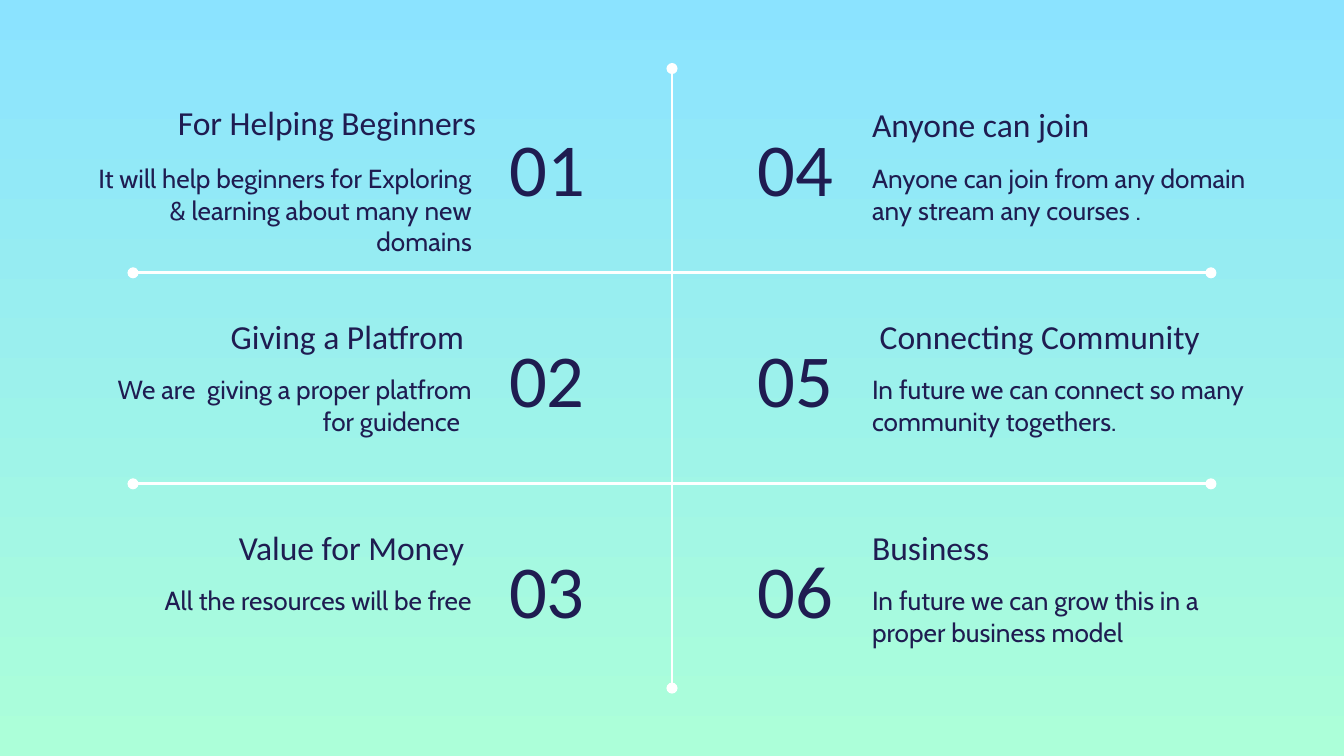
from lxml import etree
from pptx import Presentation
from pptx.dml.color import RGBColor
from pptx.enum import shapes, text
from pptx.oxml.ns import qn
from pptx.util import Inches, Pt

NAVY = RGBColor(0x1F, 0x1C, 0x51)
WHITE = RGBColor(0xFF, 0xFF, 0xFF)
SKY = RGBColor(0x8B, 0xE3, 0xFF)
MINT = RGBColor(0xAC, 0xFF, 0xD9)

LEFT, RIGHT = text.PP_ALIGN.LEFT, text.PP_ALIGN.RIGHT
TOP, MIDDLE, BOTTOM = text.MSO_ANCHOR.TOP, text.MSO_ANCHOR.MIDDLE, text.MSO_ANCHOR.BOTTOM

FIRST_ROW, ROW_STEP = 0.46, 1.57
CELL_WIDTH = 4.37
LEFT_CELL, RIGHT_CELL = 0.63, 5.0

# Heading, body, body height, heading nudge (extra width, rise)
LEFT_ITEMS = [
    ("For Helping Beginners ",
     "It will help beginners for Exploring & learning about many new domains", 0.86, (0.09, 0.02)),
    ("Giving a Platfrom ", "We are  giving a proper platfrom for guidence  ", 0.69, (0, 0)),
    ("Value for Money ", "All the resources will be free", 0.69, (0, 0)),
]
RIGHT_ITEMS = [
    ("Anyone can join",
     "Anyone can join from any domain any stream any courses .", 0.86, (0, 0.01)),
    (" Connecting Community",
     "In future we can connect so many community togethers.", 0.69, (0, 0)),
    ("Business", "In future we can grow this in a proper business model", 0.69, (0, 0)),
]


def write(box, frame, words, size, font, align, anchor):
    """Place a text box in frame (left, top, width, height) and format its words."""
    box.left, box.top, box.width, box.height = (Inches(value) for value in frame)
    body = box.text_frame
    body.text = words
    body.word_wrap = True
    body.auto_size = text.MSO_AUTO_SIZE.NONE
    body.vertical_anchor = anchor
    body.margin_left = body.margin_right = body.margin_top = body.margin_bottom = Inches(0.1)
    para = body.paragraphs[0]
    para.alignment = align
    span = para.runs[0].font
    span.size, span.name, span.color.rgb = Pt(size), font, NAVY


def add_box(page):
    return page.shapes.add_textbox(0, 0, 0, 0)


def add_item(page, left, top, number, item, on_left):
    """Fill one grid cell; cells on the left mirror those on the right."""
    heading, words, body_height, (extra, rise) = item
    if on_left:
        text_left, number_left = left, left + CELL_WIDTH - 1.31
        text_align, number_align = RIGHT, LEFT
    else:
        text_left, number_left = left + 1.39, left
        text_align, number_align = LEFT, RIGHT

    # The first number is the slide title
    number_box = page.shapes.title if number == 1 else add_box(page)
    write(number_box, (number_left, top + 0.35, 1.3, 0.86),
          f"{number:02d}", 40, "Calibri", number_align, MIDDLE)
    write(add_box(page), (text_left, top + 0.22 - rise, 2.98 + extra, 0.5),
          heading, 18, "Calibri", text_align, BOTTOM)
    write(add_box(page), (text_left, top + 0.65, 2.98, body_height),
          words, 14, "Cabin", text_align, TOP)


def add_rule(page, start, end):
    """Draw a white line with a dot at each end."""
    rule = page.shapes.add_connector(
        shapes.MSO_CONNECTOR.STRAIGHT, *(Inches(value) for value in start + end))
    rule.line.color.rgb = WHITE
    rule.line.width = Pt(1.5)
    outline = rule.line._get_or_add_ln()
    for tag in ("a:headEnd", "a:tailEnd"):
        etree.SubElement(outline, qn(tag), type="oval")
    etree.SubElement(rule._element.spPr, qn("a:effectLst"))


def paint_background(page):
    fill = page.background.fill
    fill.gradient()
    fill.gradient_angle = 270
    for stop, color, position in zip(fill.gradient_stops, (SKY, MINT), (0, 1)):
        stop.color.rgb = color
        stop.position = position


def main():
    deck = Presentation()
    # Widescreen, 16:9
    deck.slide_width, deck.slide_height = Inches(10), Inches(10 * 9 / 16)
    page = deck.slides.add_slide(deck.slide_layouts[5])
    paint_background(page)

    # Grid lines
    add_rule(page, (5, 0.51), (5, 5.12))
    for row in (1, 2):
        y = FIRST_ROW + row * ROW_STEP
        add_rule(page, (0.99, y), (9.01, y))

    # Numbered items, column by column
    columns = ((LEFT_CELL, LEFT_ITEMS, True), (RIGHT_CELL, RIGHT_ITEMS, False))
    number = 1
    for left, items, on_left in columns:
        for row, item in enumerate(items):
            add_item(page, left, FIRST_ROW + row * ROW_STEP, number, item, on_left)
            number += 1

    deck.save("out.pptx")


if __name__ == "__main__":
    main()
